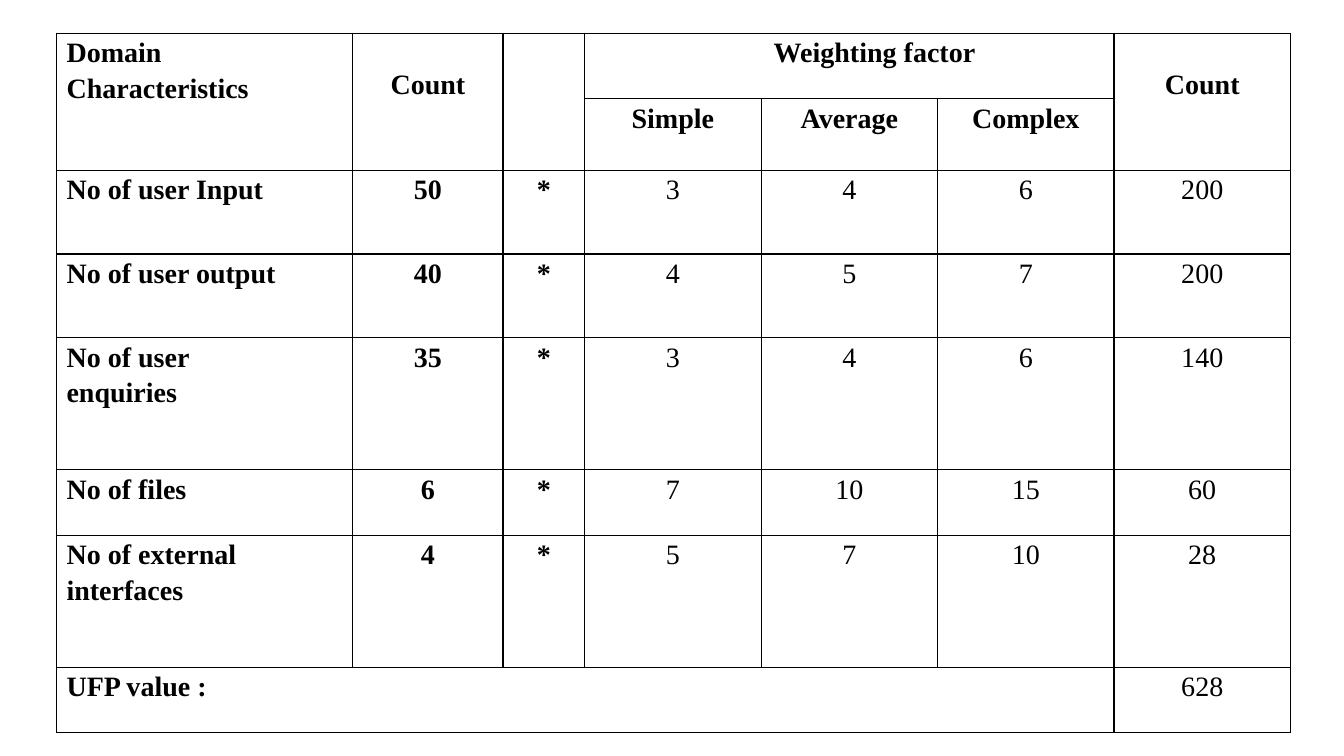
from lxml.etree import SubElement
from pptx import Presentation
from pptx.dml.color import RGBColor
from pptx.enum.text import PP_ALIGN as Align
from pptx.oxml.ns import qn
from pptx.util import Inches, Pt

INK = "000000"
FONT = "Times New Roman"
ROWS = [
    ["Domain Characteristics", "Count", "", "Weighting factor", "", "", "Count"],
    ["", "", "", "Simple", "Average", "Complex", ""],
    ["No of user Input", "50", "*", "3", "4", "6", "200"],
    ["No of user output", "40", "*", "4", "5", "7", "200"],
    ["No of user\nenquiries", "35", "*", "3", "4", "6", "140"],
    ["No of files", "6", "*", "7", "10", "15", "60"],
    ["No of external\ninterfaces", "4", "*", "5", "7", "10", "28"],
    ["UFP value :", "", "", "", "", "", "628"],
]
MERGES = [((0, column), (1, column)) for column in (0, 1, 2, 6)]
MERGES += [((0, 3), (0, 5)), ((7, 0), (7, 5))]
COLUMN_WIDTHS = [2.94, 1.49, 0.81] + [1.75] * 4
ROW_HEIGHTS = [0.65, 0.65, 0.83, 0.83, 1.31, 0.65, 1.31, 0.65]
LEFT, TOP = 0.56, 0.33
HEADER_ROWS, LABEL_COLUMNS = 2, 3
MARGINS = {"margin_left": 0.1, "margin_right": 0.1, "margin_top": 0, "margin_bottom": 0}
SPECIAL_MARGINS = {
    (0, 1): {"margin_top": 0.31},
    (0, 6): {"margin_top": 0.31},
    (0, 3): {"margin_left": 0.6},
}


def color(value):
    return RGBColor.from_string(value)


def apply(target, values):
    for name, value in values.items():
        setattr(target, name, value)


def add_borders(cell):
    properties = cell._tc.get_or_add_tcPr()
    for side in ("lnL", "lnR", "lnT", "lnB"):
        line = SubElement(properties, qn(f"a:{side}"), w=str(Pt(1)))
        fill = SubElement(line, qn("a:solidFill"))
        SubElement(fill, qn("a:srgbClr"), val=INK)


def write(cell, text, row, column):
    margins = MARGINS | SPECIAL_MARGINS.get((row, column), {})
    apply(cell, {name: Inches(value) for name, value in margins.items()})
    cell.text = text
    bold = row < HEADER_ROWS or column < LABEL_COLUMNS
    for para in cell.text_frame.paragraphs:
        alignment = Align.JUSTIFY if column == 0 else Align.CENTER
        apply(para, {"alignment": alignment, "line_spacing": 1.15})
        for span in para.runs:
            apply(span.font, {"name": FONT, "size": Pt(20), "bold": bold})
            span.font.color.rgb = color(INK)


def main():
    deck = Presentation()
    apply(deck, {"slide_width": Inches(13.33), "slide_height": Inches(7.5)})
    page = deck.slides.add_slide(deck.slide_layouts[6])
    table = page.shapes.add_table(
        len(ROWS), len(COLUMN_WIDTHS), Inches(LEFT), Inches(TOP),
        Inches(sum(COLUMN_WIDTHS)), Inches(sum(ROW_HEIGHTS)),
    ).table
    apply(table, {"first_row": False, "horz_banding": False})
    for column, width in zip(table.columns, COLUMN_WIDTHS):
        column.width = Inches(width)
    for row, height in zip(table.rows, ROW_HEIGHTS):
        row.height = Inches(height)
    for first, last in MERGES:
        table.cell(*first).merge(table.cell(*last))
    for row, texts in enumerate(ROWS):
        for column, text in enumerate(texts):
            cell = table.cell(row, column)
            add_borders(cell)
            cell.fill.background()
            write(cell, text, row, column)
    deck.save("out.pptx")


if __name__ == "__main__":
    main()
